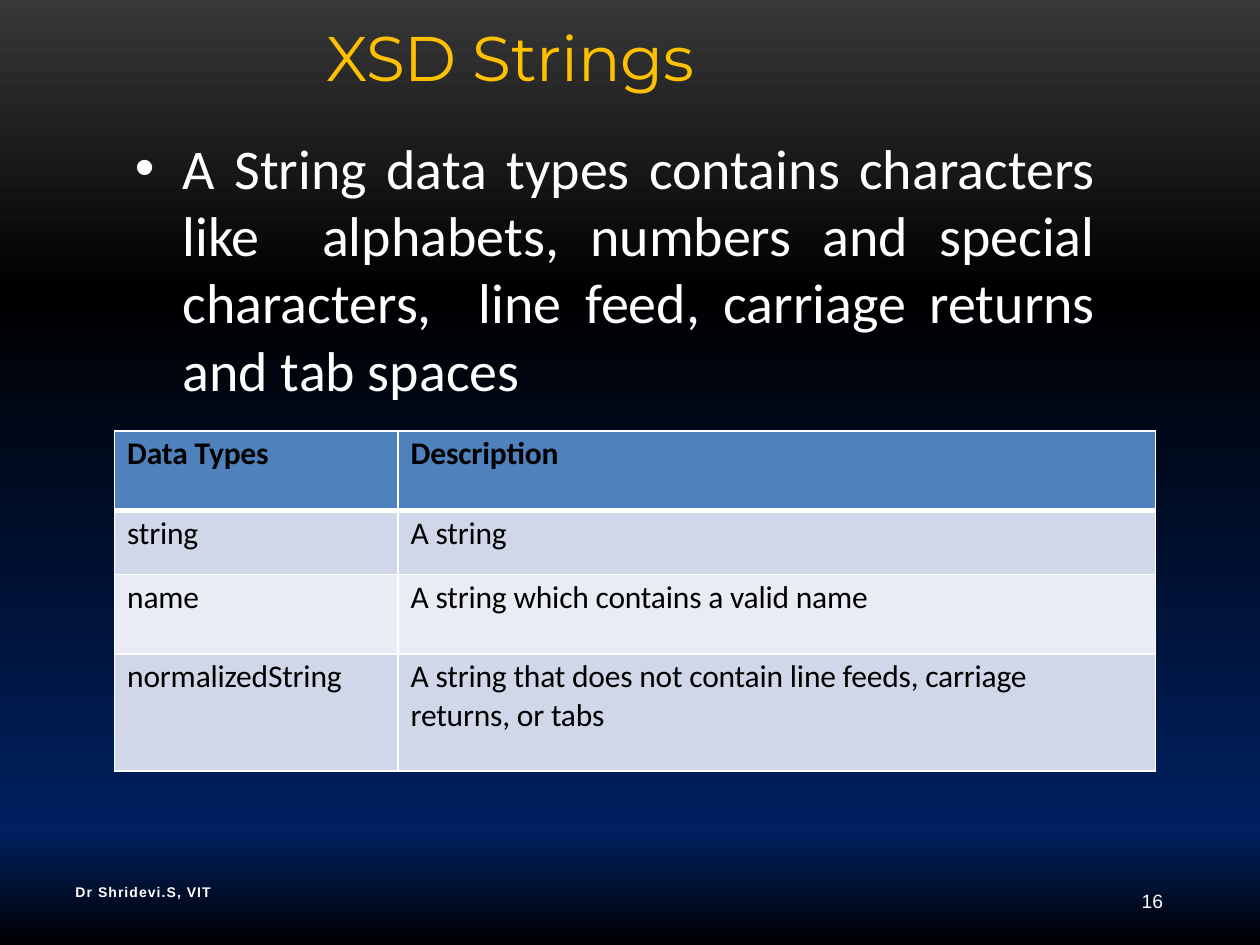
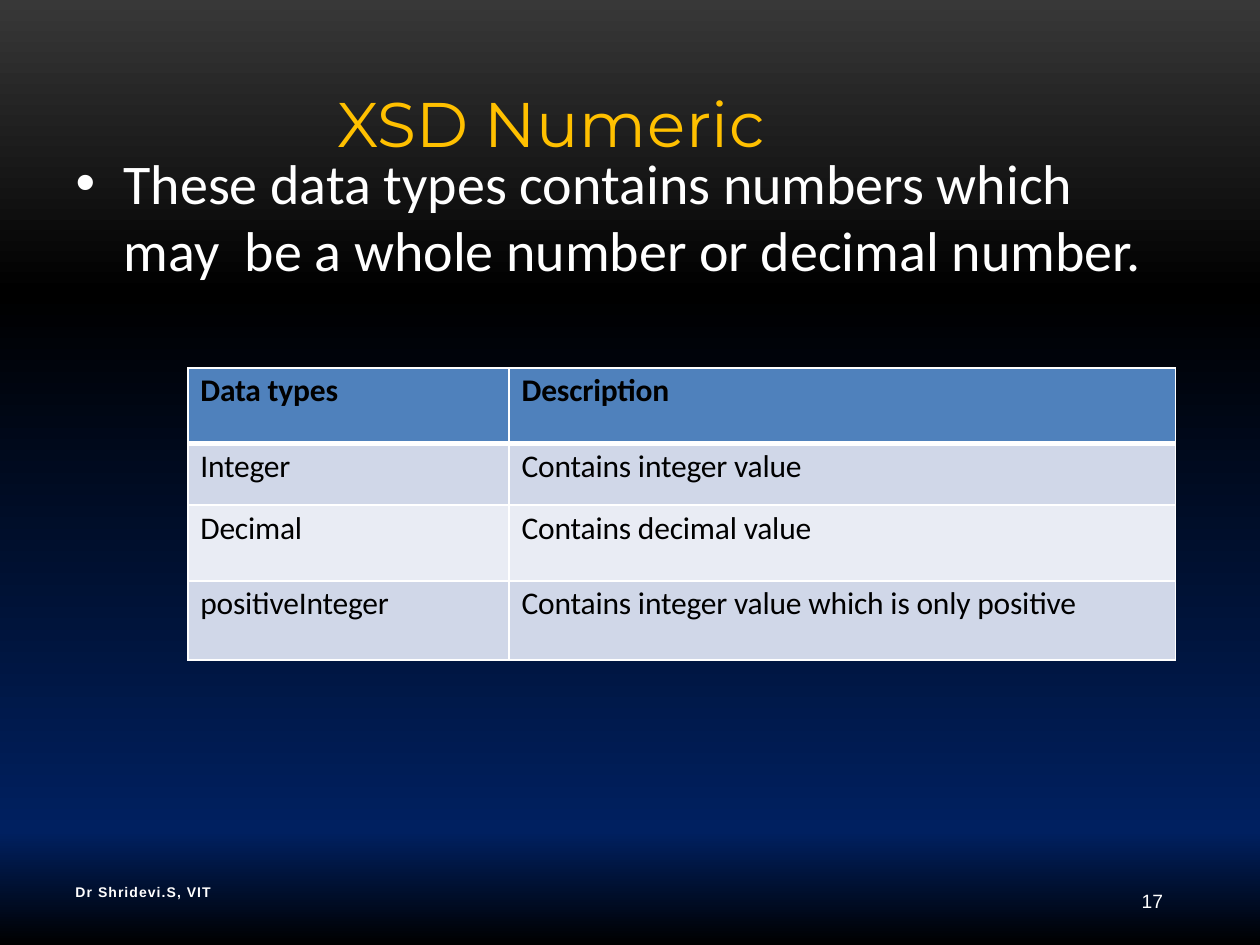
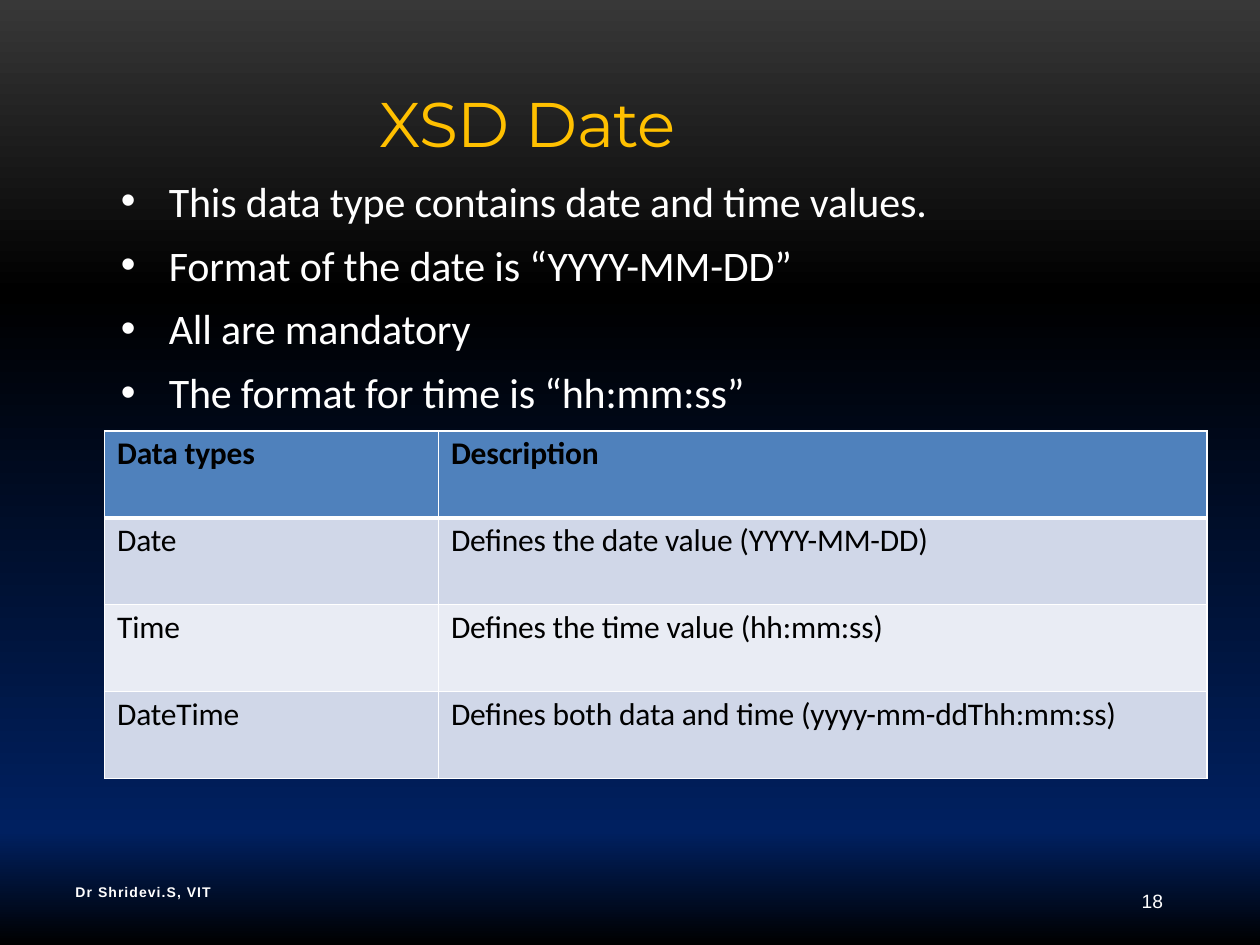
from lxml.etree import SubElement
from pptx import Presentation
from pptx.dml.color import RGBColor
from pptx.enum.text import MSO_ANCHOR as Anchor, MSO_AUTO_SIZE as Auto, PP_ALIGN as Align
from pptx.oxml.ns import qn
from pptx.util import Inches, Pt

SIZE = (10, 7.5)
GOLD, WHITE, BLACK = "FFC000", "FFFFFF", "000000"
HEAD, BANDS = "4F81BC", ("D0D7E8", "E9ECF4")
BACK = ((0, "383838"), (31, BLACK), (88, "002060"), (100, BLACK))
TITLE = {"size": Pt(36), "name": "Montserrat", "bold": False}
BODY = {"name": "Calibri", "bold": False}
CELL = {"size": Pt(18), "name": "Calibri"}
FOOT = {"size": Pt(8), "name": "Arial", "bold": True}
PAGE = {"size": Pt(11), "name": "Arial", "bold": False}
NOTE = (0.5, 6.92, 5.99, 0.31)
NUM = (8.25, 6.95, 1.08, 0.4)
FIRST = 16

SLIDES = [
    {
        "title": [("XSD ", -0.2), ("Strings", -0.1)],
        "head": (2.58, 0.13, 4.33, 0.62),
        "text": ["A String data types contains characters like  alphabets, numbers "
                 "and special characters,  line feed, carriage returns and tab spaces"],
        "body": (1.06, 1.05, 7.64, 2.17),
        "form": {"size": 32, "top": 0.01, "align": Align.JUSTIFY},
        "spot": (0.91, 3.42),
        "cols": (2.25, 6.01),
        "rows": (0.63, 0.51, 0.63, 0.93),
        "data": [
            ("Data Types", "Description"),
            ("string", "A string"),
            ("name", "A string which contains a valid name"),
            ("normalizedString",
             "A string that does not contain line feeds, carriage\nreturns, or tabs"),
        ],
    },
    {
        "title": [("XSD ", -0.2), ("Numeric", 0.5)],
        "head": (2.67, 0.65, 3.96, 0.62),
        "text": ["These data types contains numbers which may  be a whole number "
                 "or decimal number."],
        "body": (0.59, 1.17, 8.5, 1.63),
        "form": {"size": 32, "top": 0.01, "align": Align.LEFT},
        "spot": (1.49, 2.92),
        "cols": (2.55, 5.29),
        "rows": (0.6, 0.49, 0.6, 0.63),
        "data": [
            ("Data types", "Description"),
            ("Integer", "Contains integer value"),
            ("Decimal", "Contains decimal value"),
            ("positiveInteger", "Contains integer value which is only positive"),
        ],
    },
    {
        "title": [("XSD Date", -0.2)],
        "head": (3, 0.65, 3.15, 0.62),
        "text": ["This data type contains date and time values.",
                 "Format of the date is “YYYY-MM-DD”",
                 "All are mandatory",
                 "The format for time is “hh:mm:ss”"],
        "body": (0.95, 1.27, 8.64, 2.07),
        "form": {"size": 24, "top": 0.12, "align": Align.LEFT, "space": -0.1},
        "spot": (0.83, 3.42),
        "cols": (2.65, 6.1),
        "rows": (0.69,) * 4,
        "data": [
            ("Data types", "Description"),
            ("Date", "Defines the date value (YYYY-MM-DD)"),
            ("Time", "Defines the time value (hh:mm:ss)"),
            ("DateTime", "Defines both data and time (yyyy-mm-ddThh:mm:ss)"),
        ],
    },
]


def paint(target, tone):
    """Give a fill or font a solid hex colour."""
    if hasattr(target, "solid"):
        target.solid()
        target.fore_color.rgb = RGBColor.from_string(tone)
    else:
        target.color.rgb = RGBColor.from_string(tone)


def apply(target, form):
    """Set each attribute named in a dict of format values."""
    for key, value in form.items():
        setattr(target, key, value)


def write(para, text, form, tone, space=0):
    """Add a formatted run with its letter spacing in points."""
    run = para.add_run()
    run.text = text
    apply(run.font, form)
    paint(run.font, tone)
    if space:
        run._r.get_or_add_rPr().set("spc", str(round(space * 100)))


def grade(master):
    """Fill the master background with the vertical gradient."""
    fill = master.background.fill
    fill.gradient()
    fill.gradient_angle = 270
    stops = master.element.find(".//" + qn("a:gsLst"))
    for stop in list(stops):
        stops.remove(stop)
    for place, tone in BACK:
        stop = SubElement(stops, qn("a:gs"), pos=str(place * 1000))
        SubElement(stop, qn("a:srgbClr"), val=tone)


def frame(shape, left=0, top=0.01, anchor=Anchor.TOP):
    """Set the insets and anchor of a wrapping text frame and return it."""
    text = shape.text_frame
    apply(text, {"word_wrap": True, "auto_size": Auto.NONE, "vertical_anchor": anchor,
                 "margin_left": Inches(left), "margin_top": Inches(top),
                 "margin_right": 0, "margin_bottom": 0})
    return text


def head(slide, box, parts):
    """Move the title placeholder into its box and write its parts."""
    shape = slide.shapes.title
    apply(shape, dict(zip(("left", "top", "width", "height"), map(Inches, box))))
    para = frame(shape, left=0.01, anchor=Anchor.BOTTOM).paragraphs[0]
    para.alignment = Align.LEFT
    for text, space in parts:
        write(para, text, TITLE, GOLD, space)


def bullet(para):
    """Give a paragraph a hanging round bullet."""
    props = para._p.get_or_add_pPr()
    props.set("marL", str(Inches(0.39)))
    props.set("indent", str(Inches(-0.38)))
    SubElement(props, qn("a:buFont"), typeface="Arial")
    SubElement(props, qn("a:buChar"), char="•")


def body(slide, box, lines, size, top, align, space=0):
    """Write the bulleted lines in a box."""
    text = frame(slide.shapes.add_textbox(*map(Inches, box)), top=top)
    for index, line in enumerate(lines):
        para = text.add_paragraph() if index else text.paragraphs[0]
        bullet(para)
        para.alignment = align
        if index:
            para.space_before = Pt(7.7)
        write(para, line, {**BODY, "size": Pt(size)}, WHITE, space)


def border(cell, row):
    """Draw white cell borders, thick between header and data."""
    props = cell._tc.get_or_add_tcPr()
    thick = {"T": row == 1, "B": row == 0}
    for side in "LRTB":
        width = Pt(3 if thick.get(side) else 1)
        line = SubElement(props, qn("a:ln" + side), w=str(width))
        SubElement(SubElement(line, qn("a:solidFill")), qn("a:srgbClr"), val=WHITE)


def table(slide, spot, cols, rows, data):
    """Build a banded table of data types at a spot."""
    box = (*spot, sum(cols), sum(rows))
    grid = slide.shapes.add_table(len(rows), len(cols), *map(Inches, box)).table
    for col, width in zip(grid.columns, cols):
        col.width = Inches(width)
    for row, height in enumerate(rows):
        grid.rows[row].height = Inches(height)
        for col, text in enumerate(data[row]):
            cell = grid.cell(row, col)
            border(cell, row)
            paint(cell.fill, BANDS[(row - 1) % 2] if row else HEAD)
            apply(cell, {"margin_left": Inches(0.1), "margin_top": Inches(0.03),
                         "margin_right": 0, "margin_bottom": 0})
            for index, line in enumerate(text.split("\n")):
                area = cell.text_frame
                para = area.add_paragraph() if index else area.paragraphs[0]
                write(para, line, {**CELL, "bold": row == 0}, BLACK, -0.1)


def label(slide, box, text, form, align, space=0):
    """Write one small line centred vertically in a box."""
    area = slide.shapes.add_textbox(*map(Inches, box)).text_frame
    apply(area, {"word_wrap": True, "vertical_anchor": Anchor.MIDDLE})
    area.paragraphs[0].alignment = align
    write(area.paragraphs[0], text, form, WHITE, space)


def build(deck, page, part):
    """Add one slide with title, bullets, table and footer."""
    slide = deck.slides.add_slide(deck.slide_layouts.get_by_name("Title Only"))
    head(slide, part["head"], part["title"])
    body(slide, part["body"], part["text"], **part["form"])
    table(slide, part["spot"], part["cols"], part["rows"], part["data"])
    label(slide, NUM, str(page), PAGE, Align.RIGHT)
    label(slide, NOTE, "Dr Shridevi.S, VIT", FOOT, Align.LEFT, 0.6)


def main():
    """Build and save the deck."""
    deck = Presentation()
    deck.slide_width, deck.slide_height = map(Inches, SIZE)
    grade(deck.slide_master)
    for page, part in enumerate(SLIDES, FIRST):
        build(deck, page, part)
    deck.save("out.pptx")


if __name__ == "__main__":
    main()
